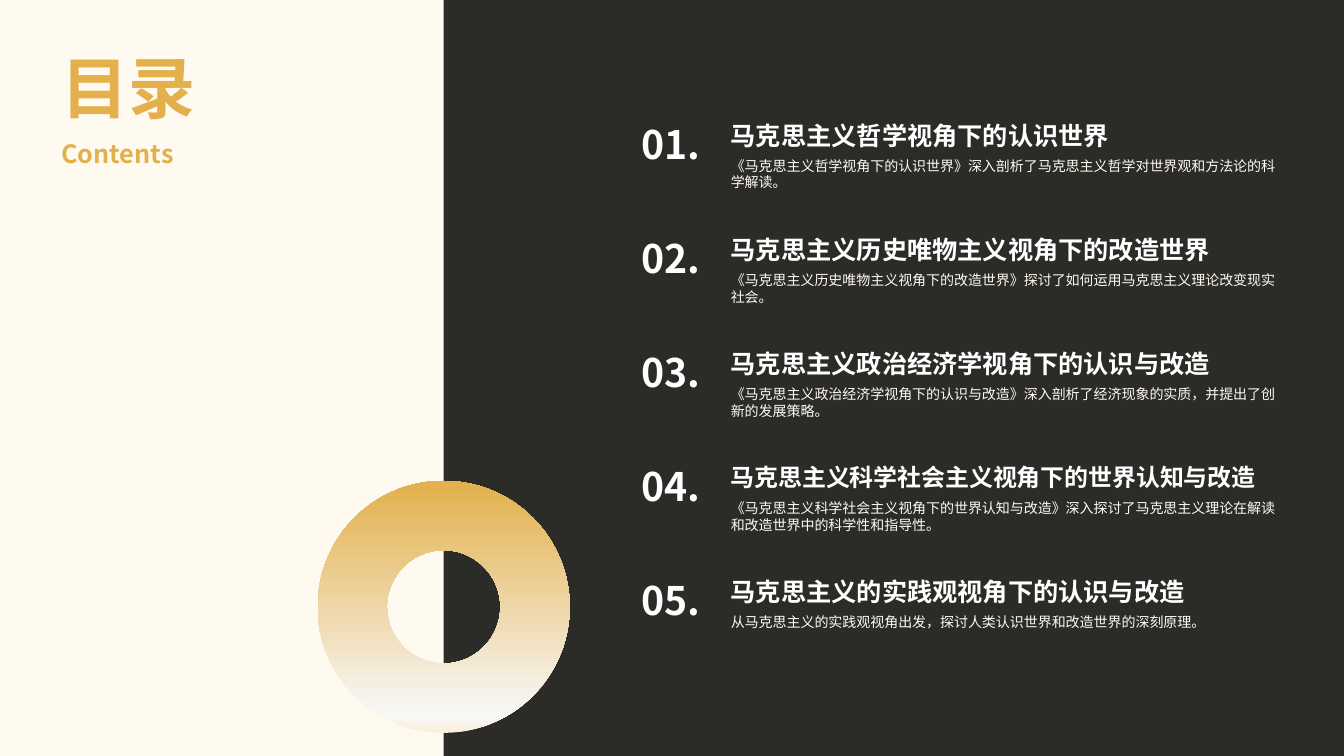
from copy import deepcopy
from lxml import etree
from pptx import Presentation
from pptx import util as u
from pptx.dml import color
from pptx.enum import shapes, text
from pptx.oxml import ns

GOLD, CREAM, DARK, WHITE = "E3B04B", "FFFAF0", "2B2B28", "FFFFFF"
TOPICS = [
    ("马克思主义哲学视角下的认识世界", 18,
     "《马克思主义哲学视角下的认识世界》深入剖析了马克思主义哲学对世界观和方法论的科学解读。"),
    ("马克思主义历史唯物主义视角下的改造世界", 18,
     "《马克思主义历史唯物主义视角下的改造世界》探讨了如何运用马克思主义理论改变现实社会。"),
    ("马克思主义政治经济学视角下的认识与改造", 18,
     "《马克思主义政治经济学视角下的认识与改造》深入剖析了经济现象的实质，并提出了创新的发展策略。"),
    ("马克思主义科学社会主义视角下的世界认知与改造", 17.1,
     "《马克思主义科学社会主义视角下的世界认知与改造》深入探讨了马克思主义理论在解读和改造世界中的科学性和指导性。"),
    ("马克思主义的实践观视角下的认识与改造", 18,
     "从马克思主义的实践观视角出发，探讨人类认识世界和改造世界的深刻原理。"),
]


def rgb(code):
    return color.RGBColor.from_string(code)


class Deck:
    face = "Noto Sans CJK SC"

    def __init__(self, slide):
        self.slide = slide

    def back(self, code):
        fill = self.slide.background.fill
        fill.solid()
        fill.fore_color.rgb = rgb(code)

    def shape(self, kind, box):
        item = self.slide.shapes.add_shape(kind, *map(u.Inches, box))
        item.shadow.inherit = False
        item.line.fill.background()
        return item

    def block(self, box, code):
        item = self.shape(shapes.MSO_SHAPE.RECTANGLE, box)
        item.fill.solid()
        item.fill.fore_color.rgb = rgb(code)

    def ring(self, box, hole, stops):
        item = self.shape(shapes.MSO_SHAPE.DONUT, box)
        item.adjustments[0] = hole
        item.rotation = 180
        item.fill.gradient()
        item.fill.gradient_angle = 270
        # The default gradient has two stops; add a third
        first = item._element.spPr.find(".//" + ns.qn("a:gs"))
        first.addnext(deepcopy(first))
        for stop, (pos, code) in zip(item.fill.gradient_stops, stops):
            stop.position = pos
            stop.color.rgb = rgb(code)

    def words(self, box, line, size, code, bold=True, wrap=True):
        item = self.slide.shapes.add_textbox(*map(u.Inches, box))
        self.letter(item, line, size, code, bold, wrap)

    def title(self, box, line, size, code):
        item = self.slide.shapes.title
        item.left, item.top, item.width, item.height = map(u.Inches, box)
        self.letter(item, line, size, code)

    def letter(self, item, line, size, code, bold=True, wrap=True):
        frame = item.text_frame
        look = {"word_wrap": wrap, "auto_size": text.MSO_AUTO_SIZE.NONE,
                "vertical_anchor": text.MSO_ANCHOR.TOP}
        for key, val in look.items():
            setattr(frame, key, val)
        para = frame.paragraphs[0]
        para.alignment = text.PP_ALIGN.LEFT
        run = para.add_run()
        run.text = line
        for key, val in {"name": self.face, "size": u.Pt(size), "bold": bold}.items():
            setattr(run.font, key, val)
        run.font.color.rgb = rgb(code)
        # East Asian typeface
        east = etree.SubElement(run._r.get_or_add_rPr(), ns.qn("a:ea"))
        east.set("typeface", self.face)


def main():
    show = Presentation()
    show.slide_width, show.slide_height = u.Inches(13.33), u.Inches(7.5)
    deck = Deck(show.slides.add_slide(show.slide_layouts[5]))

    # Panels and ring
    deck.back(DARK)
    deck.block((0, 0, 4.4, 7.5), CREAM)
    deck.ring((3.15, 4.77, 2.5, 2.5), 0.275,
              [(0, "F9EFDB"), (0.07, "F8F8F8"), (1, GOLD)])

    # Title; raise the placeholder above the panel
    deck.title((0.51, 0.41, 2.91, 0.91), "目录", 48, GOLD)
    deck.slide.shapes._spTree.append(deck.slide.shapes.title._element)
    deck.words((0.51, 1.32, 2.91, 0.4), "Contents", 18, GOLD)

    # Numbered topics
    for i, (head, size, note) in enumerate(TOPICS):
        top = 1.14 + i * 1.1325
        deck.words((7.15, top + 0.37, 5.67, 0.5), note, 10, CREAM, bold=False)
        deck.words((7.15, top, 5.46, 0.44), head, size, WHITE)
        deck.words((6.26, top, 0.8, 0.57), f"{i + 1:02}.", 28, WHITE, wrap=False)

    show.save("out.pptx")


if __name__ == "__main__":
    main()
